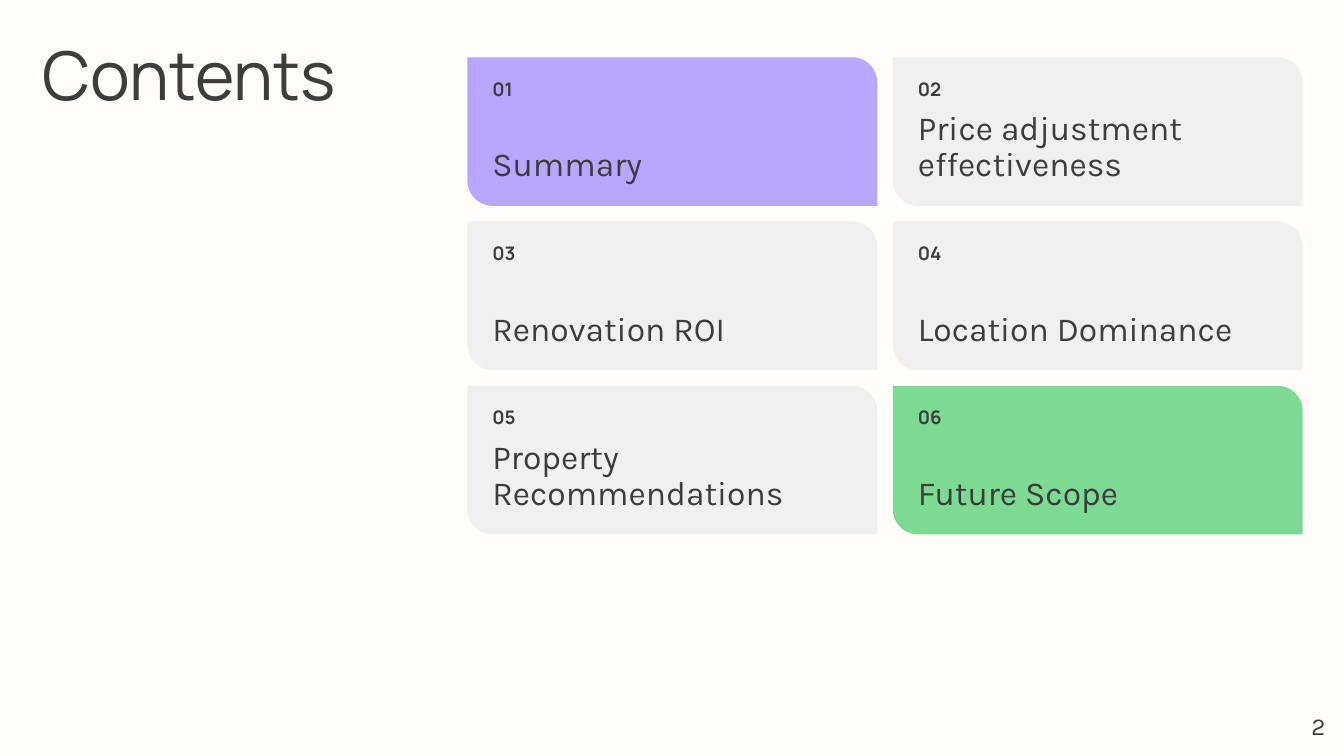
from pptx import Presentation
from pptx import util as u
from pptx.dml import color
from pptx.enum import shapes, text

HUES = {"page": "FFFCFA", "ink": "3D3D3D", "grey": "F0F0F0",
        "lilac": "B8A7FF", "green": "7DDA92"}
ITEMS = [("Summary", "lilac"), ("Price adjustment effectiveness", "grey"),
         ("Renovation ROI", "grey"), ("Location Dominance", "grey"),
         ("Property Recommendations", "grey"), ("Future Scope", "green")]
COLS = 2
LEFT, TOP = 250.4, 30.7
WIDE, HIGH = 219.6, 79.6
STEP_X, STEP_Y = 227.9, 88
PAD = 13.4

HEAD = {"name": "Manrope", "size": u.Pt(36)}
TOPIC = {"name": "Karla", "size": u.Pt(18)}
COUNT = {"name": "Manrope", "size": u.Pt(10), "bold": True}
FOLIO = {"name": "Karla", "size": u.Pt(13)}


def hue(key):
    return color.RGBColor.from_string(HUES[key])


def paint(fill, key):
    fill.solid()
    fill.fore_color.rgb = hue(key)


def add_text(slide, words, area, style, space=1.0, inset=0,
             anchor=text.MSO_ANCHOR.TOP, align=text.PP_ALIGN.LEFT):
    frame = slide.shapes.add_textbox(*map(u.Pt, area)).text_frame
    frame.word_wrap = True
    frame.vertical_anchor = anchor
    for side in ("left", "top", "right", "bottom"):
        setattr(frame, f"margin_{side}", u.Pt(inset))
    para = frame.paragraphs[0]
    para.alignment = align
    para.line_spacing = space
    run = para.add_run()
    run.text = words
    for key, value in style.items():
        setattr(run.font, key, value)
    run.font.color.rgb = hue("ink")


def add_card(slide, left, top, key):
    card = slide.shapes.add_shape(shapes.MSO_SHAPE.ROUND_2_DIAG_RECTANGLE,
                                  *map(u.Pt, (left, top, WIDE, HIGH)))
    card.adjustments[0] = 0
    card.adjustments[1] = 0.17
    card.shadow.inherit = False
    paint(card.fill, key)
    card.line.fill.background()


def add_item(slide, index, topic, key):
    row, col = divmod(index, COLS)
    left, top = LEFT + col * STEP_X, TOP + row * STEP_Y
    width = WIDE - 2 * PAD
    add_card(slide, left, top, key)
    add_text(slide, topic, (left + PAD, top + 32, width, 36), TOPIC, 0.9,
             anchor=text.MSO_ANCHOR.BOTTOM)
    add_text(slide, f"{index + 1:02}", (left + PAD, top + 9.2, width, 12.4),
             COUNT, 1.15)


def main():
    deck = Presentation()
    deck.slide_width, deck.slide_height = u.Pt(720), u.Pt(405)
    slide = deck.slides.add_slide(deck.slide_layouts[6])
    paint(slide.background.fill, "page")
    add_text(slide, "Contents", (22.5, 22.5, 219.6, 39.6), HEAD, 0.9)
    for index, (topic, key) in enumerate(ITEMS):
        add_item(slide, index, topic, key)
    add_text(slide, "2", (673.9, 373.7, 43.2, 31), FOLIO, inset=7.2,
             align=text.PP_ALIGN.RIGHT)
    deck.save("out.pptx")


if __name__ == "__main__":
    main()
